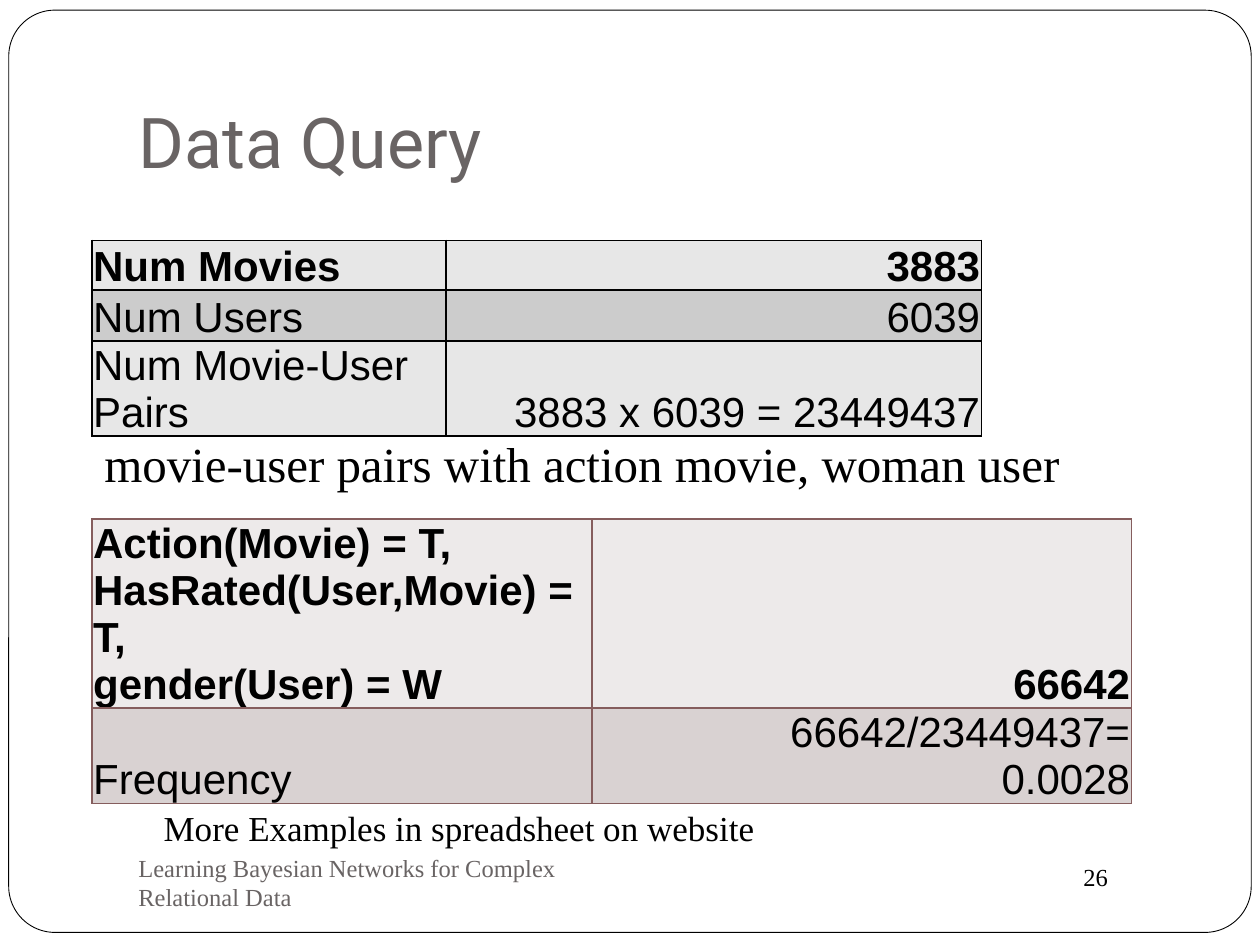
import pptx
import pptx.util
import pptx.dml.color
import pptx.enum.shapes
import pptx.enum.text
import pptx.oxml
import pptx.oxml.ns
from dataclasses import dataclass

Pt = pptx.util.Pt
RGB = pptx.dml.color.RGBColor.from_string
ANCHOR = pptx.enum.text.MSO_ANCHOR
ALIGN = pptx.enum.text.PP_ALIGN


@dataclass(frozen=True)
class Theme:
    title_font: str = "Roboto"
    table_font: str = "Arial"
    text_font: str = "Times New Roman"
    black: str = "000000"
    gray: str = "696464"
    white: str = "FFFFFF"
    title: int = 40
    caption: int = 28
    table: int = 24
    note: int = 20
    footer: int = 14


T = Theme()

TITLE = "Data Query"

# Boxes are (left, top, width, height) in points.
TABLES = [
    dict(at=(52.5, 137.3), cols=(202.3, 306), rows=(28.5, 29, 54.5),
         bands=("E7E7E7", "CCCCCC"), border="000000",
         cells=[("Num Movies", "3883"),
                ("Num Users", "6039"),
                ("Num Movie-User Pairs", "3883 x 6039 = 23449437")]),
    dict(at=(52.5, 296.6), cols=(285.8, 308.2), rows=(108, 54.5),
         bands=("EDEAEA", "D9D2D2"), border="855D5D",
         cells=[("Action(Movie) = T,\nHasRated(User,Movie) = T,\ngender(User) = W", "66642"),
                ("Frequency", "66642/23449437=\n0.0028")]),
]

TEXTS = [
    ("movie-user pairs with action movie, woman user",
     (52.5, 244, 563, 41), T.caption, T.black, ANCHOR.TOP),
    ("More Examples in spreadsheet on website",
     (86.4, 457.2, 378, 31.7), T.note, T.black, ANCHOR.TOP),
    ("Learning Bayesian Networks for Complex Relational Data",
     (72, 486, 312, 36), T.footer, T.gray, ANCHOR.MIDDLE),
    ("26", (612, 488.9, 72, 24.5), T.footer, T.black, ANCHOR.TOP),
]


def style(p, name, size, color, bold=False):
    p.font.name, p.font.size, p.font.bold = name, Pt(size), bold
    p.font.color.rgb = RGB(color)


def add_frame(s):
    sp = s.shapes.add_shape(pptx.enum.shapes.MSO_SHAPE.ROUNDED_RECTANGLE,
                            Pt(5), Pt(5.8), Pt(710), Pt(527))
    sp.adjustments[0] = 0.05
    sp.shadow.inherit = False
    sp.fill.solid()
    sp.fill.fore_color.rgb = RGB(T.white)
    sp.line.color.rgb = RGB(T.black)
    sp.line.width = Pt(0.5)
    # Behind the title placeholder
    s.shapes._spTree.insert(2, sp._element)


def add_title(s):
    sp = s.shapes.title
    sp.left, sp.top, sp.width, sp.height = map(Pt, (72, 21.6, 612, 90))
    tf = sp.text_frame
    tf.text = TITLE
    tf.vertical_anchor = ANCHOR.BOTTOM
    tf.margin_bottom = Pt(7.2)
    p = tf.paragraphs[0]
    p.alignment = ALIGN.LEFT
    style(p, T.title_font, T.title, T.gray)


def add_text(s, text, box, size, color, anchor):
    tf = s.shapes.add_textbox(*map(Pt, box)).text_frame
    tf.word_wrap = True
    tf.vertical_anchor = anchor
    tf.text = text
    style(tf.paragraphs[0], T.text_font, size, color)


def add_borders(cell, color):
    tc_pr = cell._tc.get_or_add_tcPr()
    for i, side in enumerate("LRTB"):
        tc_pr.insert(i, pptx.oxml.parse_xml(
            f'<a:ln{side} {pptx.oxml.ns.nsdecls("a")} w="{Pt(1)}">'
            f'<a:solidFill><a:srgbClr val="{color}"/></a:solidFill></a:ln{side}>'))


def add_table(s, at, cols, rows, bands, border, cells):
    table = s.shapes.add_table(len(rows), len(cols), *map(Pt, (*at, sum(cols), sum(rows)))).table
    for column, width in zip(table.columns, cols):
        column.width = Pt(width)
    for i, (height, texts) in enumerate(zip(rows, cells)):
        table.rows[i].height = Pt(height)
        for j, text in enumerate(texts):
            cell = table.cell(i, j)
            cell.text = text
            cell.vertical_anchor = ANCHOR.BOTTOM
            cell.margin_left = cell.margin_right = cell.margin_top = Pt(0.75)
            cell.margin_bottom = 0
            cell.fill.solid()
            cell.fill.fore_color.rgb = RGB(bands[i % 2])
            add_borders(cell, border)
            for p in cell.text_frame.paragraphs:
                p.alignment = ALIGN.RIGHT if j else ALIGN.LEFT
                style(p, T.table_font, T.table, T.black, bold=i == 0)


def main():
    prs = pptx.Presentation()
    prs.slide_width, prs.slide_height = Pt(720), Pt(540)
    s = prs.slides.add_slide(prs.slide_layouts.get_by_name("Title Only"))
    add_frame(s)
    add_title(s)
    for table in TABLES:
        add_table(s, **table)
    for text in TEXTS:
        add_text(s, *text)
    prs.save("out.pptx")


if __name__ == "__main__":
    main()
